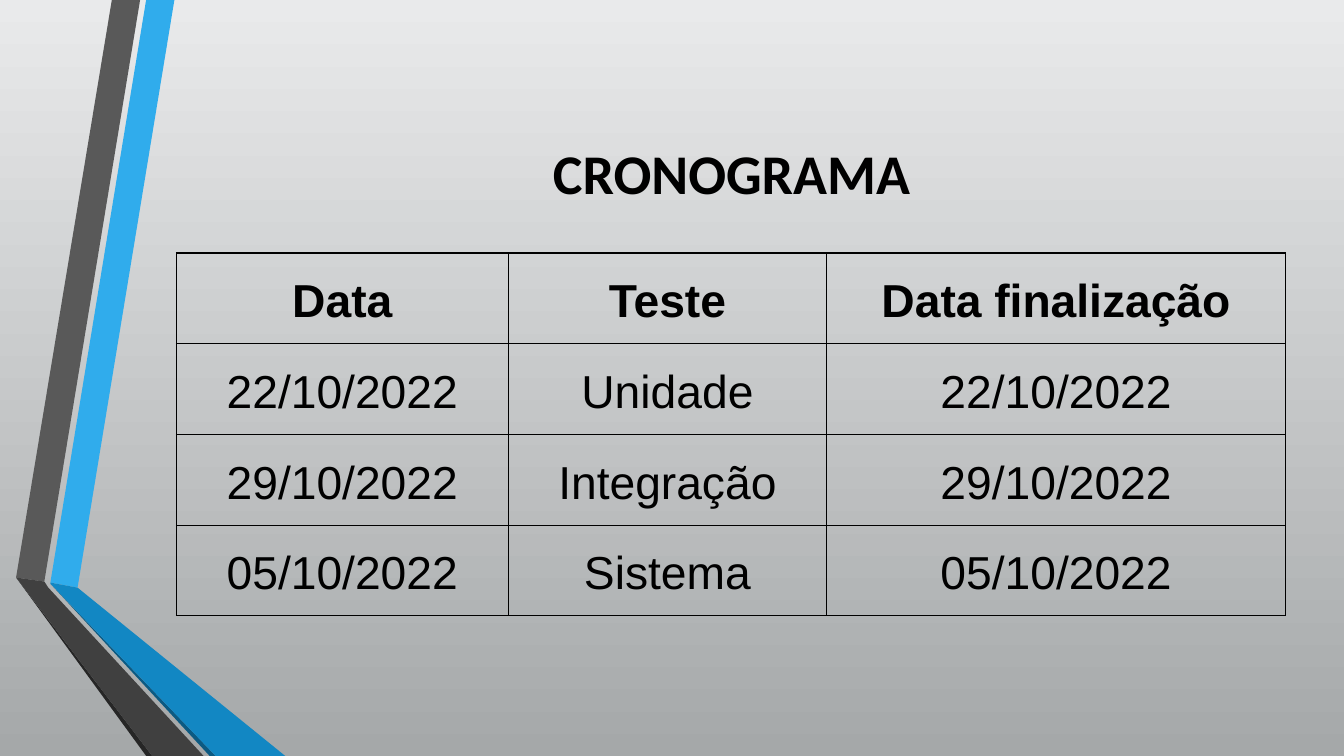
"""Build the test schedule slide with its folded ribbons and table."""
from dataclasses import dataclass

from lxml import etree
from pptx import Presentation
from pptx import util as u
from pptx.dml import color
from pptx.enum import text
from pptx.oxml import ns


@dataclass(frozen=True)
class Theme:
    ink: str = "000000"
    background: tuple = ("E9EAEB", "A5A8A9")
    blue: str = "30ACEC"
    blue_fold: str = "1287C3"
    blue_edge: str = "0C5A82"
    gray: str = "595959"
    gray_fold: str = "404040"
    gray_edge: str = "262626"
    title_font: str = "Calibri"
    table_font: str = "Arial"
    title_size: int = 40
    table_size: int = 33
    border: int = 1


class SlideBuilder:
    def __init__(self, deck, theme):
        self.theme = theme
        self.slide = deck.slides.add_slide(deck.slide_layouts[6])

    def background(self):
        fill = self.slide.background.fill
        fill.gradient()
        fill.gradient_angle = 270
        for stop, tone in zip(fill.gradient_stops, self.theme.background):
            stop.color.rgb = color.RGBColor.from_string(tone)

    def ribbon(self, tone, *points):
        start, *rest = [(u.Inches(x), u.Inches(y)) for x, y in points]
        builder = self.slide.shapes.build_freeform(*start)
        builder.add_line_segments(rest, close=True)
        shape = builder.convert_to_shape()
        shape.shadow.inherit = False
        shape.fill.solid()
        shape.fill.fore_color.rgb = color.RGBColor.from_string(tone)
        shape.line.fill.background()

    def add_words(self, para, words, font, size, bold):
        para.alignment = text.PP_ALIGN.CENTER
        span = para.add_run()
        span.text = words
        span.font.name = font
        span.font.size = u.Pt(size)
        span.font.bold = bold
        span.font.color.rgb = color.RGBColor.from_string(self.theme.ink)

    def title(self, words, left, top, width, height):
        box = self.slide.shapes.add_textbox(*map(u.Inches, (left, top, width, height)))
        frame = box.text_frame
        frame.word_wrap = True
        frame.vertical_anchor = text.MSO_ANCHOR.MIDDLE
        self.add_words(
            frame.paragraphs[0], words, self.theme.title_font, self.theme.title_size, True)

    def outline(self, cell):
        properties = cell._tc.get_or_add_tcPr()
        for index, side in enumerate(("lnL", "lnR", "lnT", "lnB")):
            line = etree.Element(ns.qn(f"a:{side}"), w=str(u.Pt(self.theme.border)))
            fill = etree.SubElement(line, ns.qn("a:solidFill"))
            etree.SubElement(fill, ns.qn("a:srgbClr"), val=self.theme.ink)
            properties.insert(index, line)

    def table(self, rows, left, top, widths, row_height):
        size = (sum(widths), row_height * len(rows))
        frame = self.slide.shapes.add_table(
            len(rows), len(widths), *map(u.Inches, (left, top, *size)))
        table = frame.table
        table.first_row = table.horz_banding = False
        for column, width in zip(table.columns, widths):
            column.width = u.Inches(width)
        for row_index, values in enumerate(rows):
            table.rows[row_index].height = u.Inches(row_height)
            for column_index, words in enumerate(values):
                self.cell(table.cell(row_index, column_index), words, row_index == 0)

    def cell(self, cell, words, bold):
        cell.fill.background()
        self.outline(cell)
        cell.vertical_anchor = text.MSO_ANCHOR.MIDDLE
        cell.margin_left = cell.margin_right = u.Inches(0.22)
        cell.margin_top, cell.margin_bottom = u.Inches(0.03), 0
        para = cell.text_frame.paragraphs[0]
        para.line_spacing = 1.07
        para.space_after = u.Pt(17.2)
        self.add_words(para, words, self.theme.table_font, self.theme.table_size, bold)


deck = Presentation()
deck.slide_width, deck.slide_height = u.Inches(13.33), u.Inches(7.5)
theme = Theme()
page = SlideBuilder(deck, theme)
page.background()

page.ribbon(theme.blue, (0.5, 5.78), (0.77, 5.83), (1.73, 0), (1.45, 0))
page.ribbon(theme.gray, (1.39, 0), (1.11, 0), (0.16, 5.73), (0.44, 5.77))
page.ribbon(theme.gray_edge, (0.16, 5.73), (1.45, 7.5), (1.51, 7.5))
page.ribbon(theme.blue_edge, (0.5, 5.79), (2.08, 7.5), (2.14, 7.5))
page.ribbon(theme.blue_fold, (0.5, 5.78), (0.5, 5.79), (2.14, 7.5), (2.83, 7.5), (0.77, 5.83))
page.ribbon(theme.gray_fold, (0.16, 5.73), (1.51, 7.5), (2.02, 7.5), (0.48, 5.83), (0.44, 5.77))

page.title("CRONOGRAMA", 1.93, 0.75, 10.65, 1.92)
tests = [("22/10/2022", "Unidade"), ("29/10/2022", "Integração"), ("05/10/2022", "Sistema")]
schedule = [("Data", "Teste", "Data finalização")]
schedule += [(date, test, date) for date, test in tests]
page.table(schedule, 1.75, 2.51, (3.29, 3.16, 4.55), 0.9)

deck.save("out.pptx")
